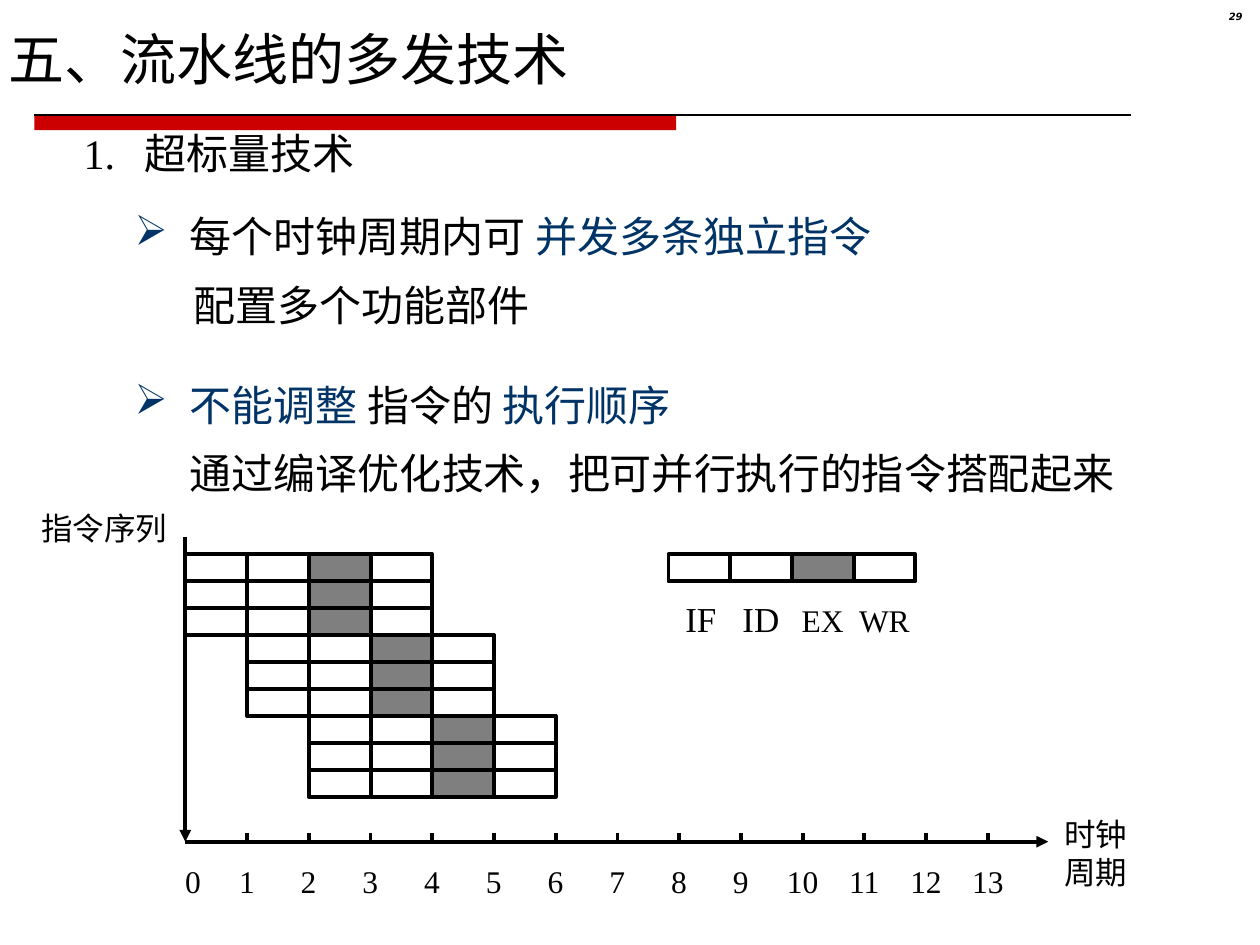
from dataclasses import dataclass

from lxml.etree import SubElement
from pptx import Presentation
from pptx.dml.color import RGBColor as Rgb
from pptx.enum.shapes import MSO_CONNECTOR as Connector, MSO_SHAPE as Shape
from pptx.enum.text import MSO_ANCHOR as Anchor, PP_ALIGN as Align
from pptx.oxml.ns import qn
from pptx.util import Pt


@dataclass(frozen=True)
class Theme:
    ink: Rgb = Rgb(0, 0, 0)
    accent: Rgb = Rgb(0, 0x33, 0x66)
    banner: Rgb = Rgb(0xCC, 0, 0)
    body_font: str = "Times New Roman"
    number_font: str = "DejaVu Sans"
    title: float = 32
    body: float = 24
    stage: float = 20
    label: float = 18
    number: float = 5.7
    stroke: float = 2.25
    hairline: float = 0.75


THEME = Theme()
AXIS_X, AXIS_Y = 105.9, 481
CYCLE, ROW = 35.28, 15.4
GRID_TOP = 316.8
LEGEND_X = 382
STAGES = ("IF", "ID", "EX", "WR")
ISSUE_WIDTH, ISSUE_GROUPS = 3, 3
LAST_CYCLE = 13


def add_run(paragraph, words, size, color=THEME.ink, font=THEME.body_font):
    run = paragraph.add_run()
    run.text = words
    run.font.name = font
    run.font.size = Pt(size)
    run.font.color.rgb = color
    return run


def add_box(slide, left, top, width, height, inset=7.2, anchor=Anchor.TOP):
    frame = slide.shapes.add_textbox(Pt(left), Pt(top), Pt(width), Pt(height)).text_frame
    frame.word_wrap = True
    frame.margin_left = frame.margin_right = Pt(inset)
    frame.margin_top = frame.margin_bottom = Pt(3.6)
    frame.vertical_anchor = anchor
    return frame


def add_label(slide, place, lines, size):
    frame = add_box(slide, *place)
    for index, words in enumerate(lines):
        paragraph = frame.add_paragraph() if index else frame.paragraphs[0]
        add_run(paragraph, words, size)


def add_heading(slide, place, words, size, tab=None):
    paragraph = add_box(slide, *place, inset=0, anchor=Anchor.MIDDLE).paragraphs[0]
    if tab:
        add_tabs(paragraph, [tab], "l")
    add_run(paragraph, words, size)


def add_tabs(paragraph, stops, alignment):
    tabs = SubElement(paragraph._p.get_or_add_pPr(), qn("a:tabLst"))
    for stop in stops:
        SubElement(tabs, qn("a:tab"), pos=str(Pt(stop)), algn=alignment)


def add_bullet_point(slide, place, phrases):
    paragraph = add_box(slide, *place, inset=0, anchor=Anchor.MIDDLE).paragraphs[0]
    properties = paragraph._p.get_or_add_pPr()
    properties.set("marL", str(Pt(31.5)))
    properties.set("indent", str(-Pt(31.5)))
    bullet_color = SubElement(properties, qn("a:buClr"))
    SubElement(bullet_color, qn("a:srgbClr"), val=str(THEME.accent))
    SubElement(properties, qn("a:buChar"), char="➢")
    for words, color in phrases:
        add_run(paragraph, words, THEME.body, color)


def add_spread_labels(slide, place, labels, sizes, stops):
    paragraph = add_box(slide, *place).paragraphs[0]
    add_tabs(paragraph, stops, "ctr")
    for index, (words, size) in enumerate(zip(labels, sizes)):
        add_run(paragraph, "\t" + words if index else words, size)


def add_line(slide, start, end, weight=THEME.stroke, arrow=False):
    line = slide.shapes.add_connector(Connector.STRAIGHT, *map(Pt, start + end))
    line.line.color.rgb = THEME.ink
    line.line.width = Pt(weight)
    if arrow:
        SubElement(line.line._get_or_add_ln(), qn("a:tailEnd"), type="triangle")
    SubElement(line._element.spPr, qn("a:effectLst"))


def add_rectangle(slide, left, top, width, height):
    rectangle = slide.shapes.add_shape(Shape.RECTANGLE, Pt(left), Pt(top), Pt(width), Pt(height))
    rectangle.shadow.inherit = False
    return rectangle


def add_instruction(slide, left, top):
    for index, stage in enumerate(STAGES):
        cell = add_rectangle(slide, left + index * CYCLE, top, CYCLE, ROW)
        cell.line.color.rgb = THEME.ink
        cell.line.width = Pt(THEME.stroke)
        if stage == "EX":
            cell.fill.solid()
            cell.fill.fore_color.rgb = THEME.ink
            shade = cell._element.spPr.find(qn("a:solidFill")).find(qn("a:srgbClr"))
            SubElement(shade, qn("a:alpha"), val="50000")
        else:
            cell.fill.background()


def add_header(slide):
    banner = add_rectangle(slide, 19.7, 65.8, 366.7, 8.6)
    banner.fill.solid()
    banner.fill.fore_color.rgb = THEME.banner
    banner.line.fill.background()
    add_line(slide, (19.7, 65.8), (646.5, 65.8), THEME.hairline)

    page = add_box(slide, 674.6, 3.6, 42.5, 16.6).paragraphs[0]
    page.alignment = Align.RIGHT
    page.line_spacing = 0.8
    number = add_run(page, "29", THEME.number, font=THEME.number_font)
    number.font.bold = number.font.italic = True
    add_heading(slide, (5, 12.2, 425, 41.8), "五、流水线的多发技术", THEME.title)


def add_explanation(slide):
    add_heading(slide, (47.8, 66.2, 186, 41.8), "1.\t超标量技术", THEME.body, tab=35)
    add_bullet_point(slide, (77, 113.8, 474, 41.8), [
        ("每个时钟周期内可 ", THEME.ink), ("并发多条独立指令", THEME.accent)])
    add_label(slide, (103.7, 156.2, 432, 36), ["配置多个功能部件"], THEME.body)
    add_bullet_point(slide, (77, 210.2, 354, 41.8), [
        ("不能调整 ", THEME.accent), ("指令的 ", THEME.ink), ("执行顺序", THEME.accent)])
    add_label(slide, (101.5, 252, 582, 36),
              ["通过编译优化技术，把可并行执行的指令搭配起来"], THEME.body)


def add_pipeline(slide):
    for row in range(ISSUE_WIDTH * ISSUE_GROUPS):
        cycle = row // ISSUE_WIDTH
        add_instruction(slide, AXIS_X + cycle * CYCLE, GRID_TOP + row * ROW)

    add_line(slide, (AXIS_X, 306.7), (AXIS_X, AXIS_Y), arrow=True)
    add_line(slide, (AXIS_X, AXIS_Y), (599, AXIS_Y), arrow=True)
    ticks = [cycle * CYCLE for cycle in range(1, LAST_CYCLE + 1)]
    for tick in ticks:
        add_line(slide, (AXIS_X + tick, 476), (AXIS_X + tick, AXIS_Y))
    cycles = [str(cycle) for cycle in range(LAST_CYCLE + 1)]
    add_spread_labels(slide, (98.7, 488.9, 542, 28.8), cycles,
                      [THEME.label] * len(cycles), ticks)
    add_label(slide, (601.2, 462.2, 96.5, 50.4), ["时钟", "周期"], THEME.label)
    add_label(slide, (16.6, 287.3, 96.5, 28.8), ["指令序列"], THEME.label)


def add_legend(slide):
    add_instruction(slide, LEGEND_X, GRID_TOP)
    text_left = LEGEND_X + 9.7
    centers = [LEGEND_X + (index + 0.5) * CYCLE - text_left for index in range(1, len(STAGES))]
    sizes = [THEME.stage, THEME.stage, THEME.label, THEME.label]
    add_spread_labels(slide, (text_left - 7.2, 337.7, 142.6, 31.7), STAGES, sizes, centers)


def main():
    deck = Presentation()
    deck.slide_width, deck.slide_height = Pt(720), Pt(540)
    slide = deck.slides.add_slide(deck.slide_layouts[6])
    add_header(slide)
    add_explanation(slide)
    add_pipeline(slide)
    add_legend(slide)
    deck.save("out.pptx")


if __name__ == "__main__":
    main()
